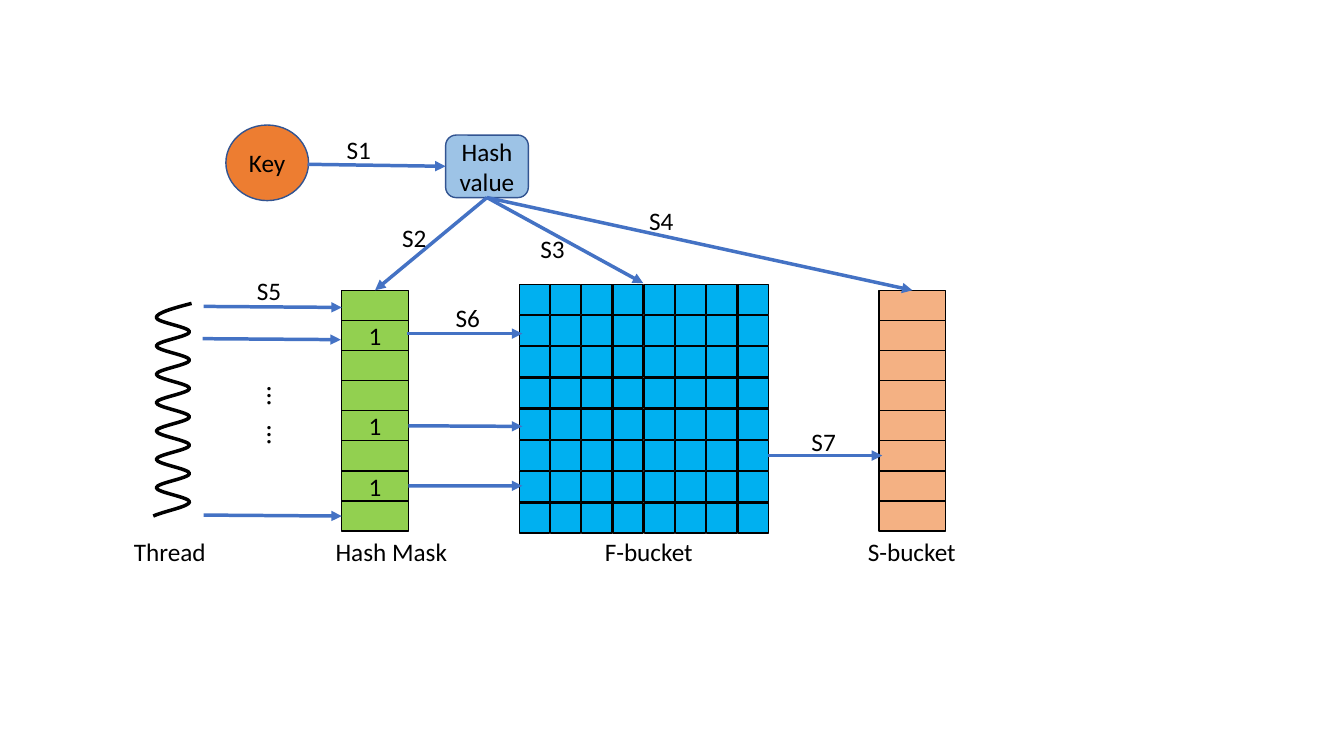
from dataclasses import dataclass

from lxml import etree
from pptx import Presentation
from pptx.dml.color import RGBColor
from pptx.enum.shapes import MSO_CONNECTOR, MSO_SHAPE
from pptx.enum.text import MSO_ANCHOR, MSO_AUTO_SIZE, PP_ALIGN
from pptx.oxml.ns import qn
from pptx.util import Emu, Inches, Pt

RECT, OVAL, ROUNDED = MSO_SHAPE.RECTANGLE, MSO_SHAPE.OVAL, MSO_SHAPE.ROUNDED_RECTANGLE
STRAIGHT = MSO_CONNECTOR.STRAIGHT
CENTER, MIDDLE = PP_ALIGN.CENTER, MSO_ANCHOR.MIDDLE
FIT_SHAPE = MSO_AUTO_SIZE.SHAPE_TO_FIT_TEXT
TOP, LEFT, BOTTOM, RIGHT = range(4)

BLACK, BLUE, NAVY = "000000", "4472C4", "325491"
GREEN, CYAN, PEACH = "92D050", "00B0F0", "F4B183"
ORANGE, SKY = "ED7D31", "9DC3E6"


@dataclass
class Grid:
    """Equal cells; drop runs from the first row's top to the last row's top,
    and marks holds the rows that carry a 1."""
    x: float
    y: float
    columns: int
    width: float
    drop: float
    fill: str
    marks: tuple = ()


@dataclass
class Arrow:
    """An arrow between two points; a joined end is a (shape, side) pair."""
    start: tuple
    end: tuple
    begin_at: tuple = ()
    end_at: tuple = ()


@dataclass
class Label:
    text: str
    x: float
    y: float


ROWS, CELL_HEIGHT = 8, 0.3
HASH_MASK = Grid(3.39, 2.88, 1, 0.66, 2.09, GREEN, marks=(1, 4, 6))
F_BUCKET = Grid(5.15, 2.82, 8, 0.3, 2.17, CYAN)
S_BUCKET = Grid(8.72, 2.88, 1, 0.66, 2.09, PEACH)

STEPS = [
    Label("S1", 3.34, 1.28), Label("S2", 3.89, 2.16), Label("S3", 5.26, 2.27),
    Label("S4", 6.34, 1.99), Label("S5", 2.45, 2.68), Label("S6", 4.42, 2.95),
    Label("S7", 7.95, 4.18),
]


def grid(units: float) -> Emu:
    """One grid column or row is an inch."""
    return Inches(units)


def color(value: str) -> RGBColor:
    return RGBColor.from_string(value)


def format_text(tf, size: int = 18) -> None:
    for p in tf.paragraphs:
        for r in p.runs:
            r.font.name = "Calibri"
            r.font.size = Pt(size)
            r.font.color.rgb = color(BLACK)


def add_box(s, kind, x: float, y: float, w: float, h: float,
            fill: str, line: str, text: str = ""):
    sp = s.shapes.add_shape(kind, grid(x), grid(y), grid(w), grid(h))
    sp.shadow.inherit = False
    sp.fill.solid()
    sp.fill.fore_color.rgb = color(fill)
    sp.line.color.rgb = color(line)
    sp.line.width = Pt(1)
    if text:
        tf = sp.text_frame
        tf.text = text
        tf.vertical_anchor = MIDDLE
        tf.paragraphs[0].alignment = CENTER
        format_text(tf)
    return sp


def add_cells(s, g: Grid) -> list:
    """Draws the grid and returns its cells as a list of rows."""
    pitch = g.drop / (ROWS - 1)
    return [[add_box(s, RECT, g.x + column * pitch, g.y + row * pitch,
                     g.width, CELL_HEIGHT, g.fill, BLACK,
                     "1" if row in g.marks else "")
             for column in range(g.columns)]
            for row in range(ROWS)]


def add_text(s, text: str, x: float, y: float, w: float, h: float,
             size: int = 18, wrap: bool = False, tabs: tuple = ()):
    sp = s.shapes.add_textbox(grid(x), grid(y), grid(w), grid(h))
    tf = sp.text_frame
    tf.text = text
    tf.word_wrap = wrap
    tf.auto_size = FIT_SHAPE
    format_text(tf, size)
    if tabs:
        stops = etree.SubElement(tf.paragraphs[0]._p.get_or_add_pPr(), qn("a:tabLst"))
        for stop in tabs:
            etree.SubElement(stops, qn("a:tab"), pos=str(grid(stop)), algn="l")
    return sp


def add_arrow(s, arrow: Arrow) -> None:
    ends = [grid(v) for v in (*arrow.start, *arrow.end)]
    line = s.shapes.add_connector(STRAIGHT, *ends)
    if arrow.begin_at:
        line.begin_connect(*arrow.begin_at)
    if arrow.end_at:
        line.end_connect(*arrow.end_at)
    line.line.color.rgb = color(BLUE)
    line.line.width = Pt(2.5)
    etree.SubElement(line.line._get_or_add_ln(), qn("a:tailEnd"), type="triangle")
    etree.SubElement(line._element.spPr, qn("a:effectLst"))


def curve_segments(sp) -> None:
    """Turns each three line segments of a freeform into one Bézier curve."""
    segments = list(sp._element.iter(qn("a:lnTo")))
    for first, second, third in zip(*[iter(segments)] * 3):
        first.tag = qn("a:cubicBezTo")
        for segment in (second, third):
            first.append(segment[0])
            segment.getparent().remove(segment)


def add_thread(s) -> None:
    """A wave drawn lying down and turned upright, flared at both ends."""
    left, right, top, bottom, turns = 1.55, 1.88, 3.01, 5.12, 15
    step = (bottom - top) / turns
    xs = [left if i % 2 else right for i in range(turns + 1)]
    xs[0], xs[-1] = 1.9, 1.52
    points = [(xs[0], top)]
    for i in range(turns):
        y = top + i * step
        leave = 1.72 if i == 0 else xs[i]
        arrive = 1.62 if i == turns - 1 else xs[i + 1]
        points += [(leave, y + step / 3), (arrive, y + step * 2 / 3), (xs[i + 1], y + step)]

    mid_x, mid_y = (xs[0] + xs[-1]) / 2, (top + bottom) / 2
    lying = [(grid(mid_x + y - mid_y), grid(mid_y + mid_x - x)) for x, y in points]
    builder = s.shapes.build_freeform(*lying[0])
    builder.add_line_segments(lying[1:], close=False)
    sp = builder.convert_to_shape()
    curve_segments(sp)
    sp.rotation = 90
    sp.shadow.inherit = False
    sp.fill.background()
    sp.line.color.rgb = color(BLACK)
    sp.line.width = Pt(2.5)


def main() -> None:
    prs = Presentation()
    prs.slide_width, prs.slide_height = grid(13.33), grid(7.5)
    s = prs.slides.add_slide(prs.slide_layouts[6])

    mask = [row[0] for row in add_cells(s, HASH_MASK)]
    f_bucket = add_cells(s, F_BUCKET)
    s_bucket = add_cells(s, S_BUCKET)
    add_text(s, "Thread\tHash Mask\tF-bucket\tS-bucket", 1.23, 5.27, 8.44, 0.4,
             tabs=(2, 4.67, 7.28))
    add_box(s, OVAL, 2.24, 1.24, 0.82, 0.75, ORANGE, NAVY, "Key")
    hash_value = add_box(s, ROUNDED, 4.42, 1.34, 0.82, 0.62, SKY, NAVY, "Hash value")

    hashed = (4.83, 1.96)
    from_hash = (hash_value, BOTTOM)
    arrows = [
        Arrow((3.05, 1.63), (4.42, 1.65), end_at=(hash_value, LEFT)),
        Arrow(hashed, (3.72, 2.88), from_hash, (mask[0], TOP)),
        Arrow(hashed, (6.38, 2.81), from_hash),
        Arrow(hashed, (9.05, 2.88), from_hash, (s_bucket[0][0], TOP)),
        Arrow((2.02, 3.04), (3.39, 3.05)),
        Arrow((2.01, 3.36), (3.38, 3.37)),
        Arrow((2.02, 5.11), (3.39, 5.13), end_at=(mask[7], LEFT)),
        Arrow((4.04, 3.31), (5.18, 3.31)),
        Arrow((4.04, 4.23), (5.18, 4.23), (mask[4], RIGHT)),
        Arrow((4.04, 4.82), (5.18, 4.82), (mask[6], RIGHT)),
        Arrow((7.62, 4.52), (8.75, 4.52), (f_bucket[5][7], RIGHT)),
    ]
    for arrow in arrows:
        add_arrow(s, arrow)
    for step in STEPS:
        add_text(s, step.text, step.x, step.y, 0.45, 0.4)

    dots = add_text(s, "…\t…", 2.31, 3.97, 0.9, 0.44, size=20, wrap=True, tabs=(0.38,))
    dots.rotation = 90
    add_thread(s)
    prs.save("out.pptx")


if __name__ == "__main__":
    main()
